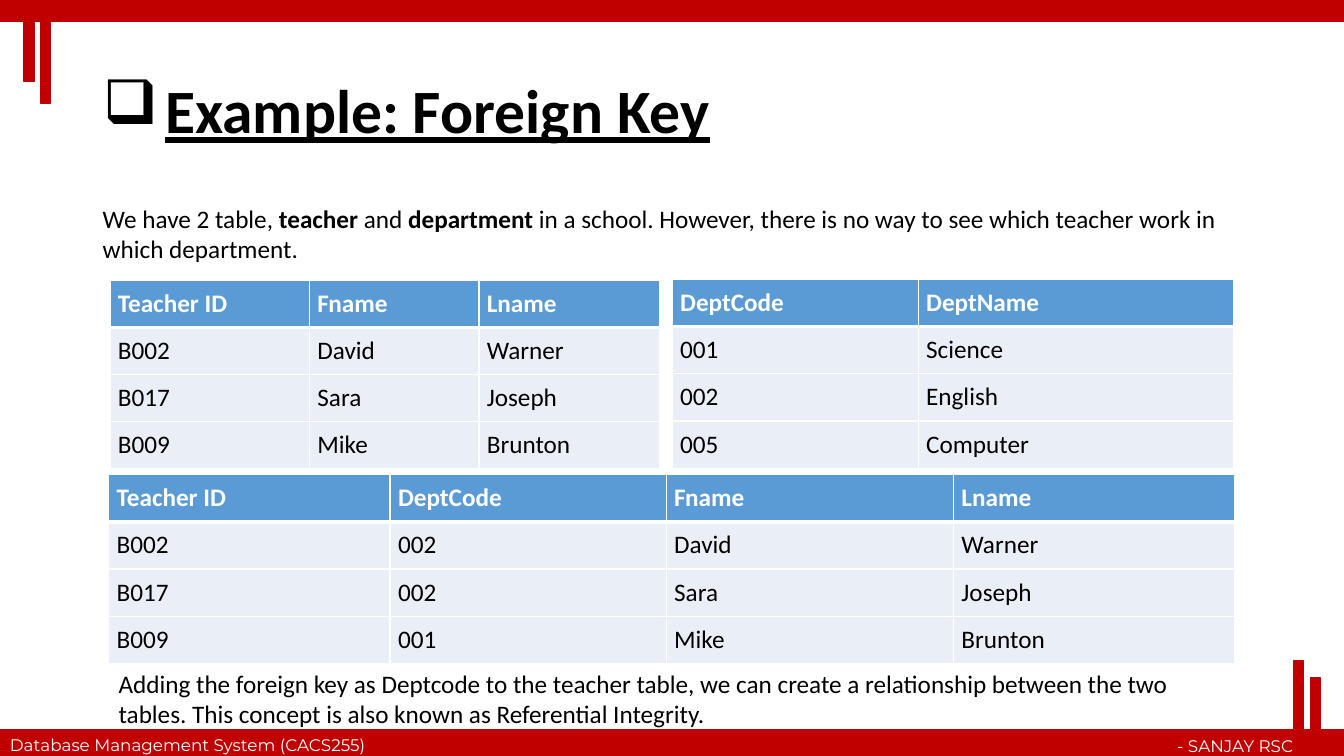
from lxml import etree
from pptx import Presentation
from pptx.dml.color import RGBColor
from pptx.enum import shapes, text
from pptx.oxml import ns
from pptx.util import Cm, Pt

RED = RGBColor(0xC0, 0x00, 0x00)
BLUE = RGBColor(0x5B, 0x9B, 0xD5)
PALE = RGBColor(0xEA, 0xEF, 0xF7)
WHITE = RGBColor(0xFF, 0xFF, 0xFF)
BLACK = RGBColor(0x00, 0x00, 0x00)

WIDTH, HEIGHT = 33.87, 19.05
ROW_HEIGHT = 1.19
CELL_MARGIN = 0.2

TITLE = "Example: Foreign Key"
TITLE_BOX = (2.34, 1.02, 29.21, 3.68)
TITLE_INDENT = 1.57

# Boxes are left, top, width, height in centimetres
BARS = [
    (0, 18.39, WIDTH, 0.66),
    (0, 0, WIDTH, 0.53),
    (1.02, 0.03, 0.25, 2.57),
    (0.61, 0.08, 0.25, 1.98),
    (32.61, 16.64, 0.23, 2.39),
    (33.02, 17.07, 0.25, 1.98),
]

FOOTERS = [
    ((0, 18.39, 10.57, 0.76), "Database Management System (CACS255)", text.PP_ALIGN.LEFT),
    ((24.64, 18.42, 8.2, 0.76), "- SANJAY RSC", text.PP_ALIGN.RIGHT),
]

# Each run is its wording and whether it is bold
PARAGRAPHS = [
    ((2.34, 5.0, 28.75, 1.85), [
        ("We have 2 table, ", False),
        ("teacher ", True),
        ("and ", False),
        ("department", True),
        (" in a school. However, there is no way to see which teacher work in "
         "which department.", False),
    ]),
    ((2.74, 16.71, 28.4, 1.8), [
        ("Adding the foreign key as Deptcode to the teacher table, we can create a "
         "relationship between the two tables. This concept is also known as "
         "Referential Integrity.", False),
    ]),
]

# Left, top, column widths, rows with the header first
TABLES = [
    (16.94, 7.04, (6.2, 7.95), [
        ("DeptCode", "DeptName"),
        ("001", "Science"),
        ("002", "English"),
        ("005", "Computer"),
    ]),
    (2.77, 7.06, (5.03, 4.27, 4.55), [
        ("Teacher ID", "Fname", "Lname"),
        ("B002", "David", "Warner"),
        ("B017", "Sara", "Joseph"),
        ("B009", "Mike", "Brunton"),
    ]),
    (2.74, 11.96, (7.09, 6.96, 7.24, 7.09), [
        ("Teacher ID", "DeptCode", "Fname", "Lname"),
        ("B002", "002", "David", "Warner"),
        ("B017", "002", "Sara", "Joseph"),
        ("B009", "001", "Mike", "Brunton"),
    ]),
]


def cm(box):
    return [Cm(length) for length in box]


def add_run(p, wording, size, color, bold=False, font="Calibri"):
    r = p.add_run()
    r.text = wording
    r.font.name, r.font.size, r.font.bold = font, Pt(size), bold
    r.font.color.rgb = color
    return r


def add_bar(s, box):
    sp = s.shapes.add_shape(shapes.MSO_SHAPE.RECTANGLE, *cm(box))
    sp.shadow.inherit = False
    sp.fill.solid()
    sp.fill.fore_color.rgb = RED
    sp.line.color.rgb = RED
    sp.line.width = Pt(1)


def add_textbox(s, box):
    """Add a wrapping text box and return its first paragraph."""
    tf = s.shapes.add_textbox(*cm(box)).text_frame
    tf.word_wrap = True
    return tf.paragraphs[0]


def set_borders(cell, bottom):
    """Draw white cell borders, with the bottom one in its own width."""
    tc_pr = cell._tc.get_or_add_tcPr()
    for i, (side, width) in enumerate(dict(lnL=1, lnR=1, lnT=1, lnB=bottom).items()):
        ln = etree.Element(ns.qn(f"a:{side}"), w=str(Pt(width)))
        fill = etree.SubElement(ln, ns.qn("a:solidFill"))
        etree.SubElement(fill, ns.qn("a:srgbClr"), val=str(WHITE))
        tc_pr.insert(i, ln)


def fill_cell(cell, wording, header):
    cell.margin_left = cell.margin_right = Cm(CELL_MARGIN)
    cell.margin_top = cell.margin_bottom = Cm(CELL_MARGIN)
    cell.fill.solid()
    cell.fill.fore_color.rgb = BLUE if header else PALE
    set_borders(cell, 3 if header else 1)
    add_run(cell.text_frame.paragraphs[0], wording, 18, WHITE if header else BLACK, header)


def add_table(s, left, top, widths, rows):
    box = (left, top, sum(widths), ROW_HEIGHT * len(rows))
    table = s.shapes.add_table(len(rows), len(widths), *cm(box)).table
    for column, width in zip(table.columns, widths):
        column.width = Cm(width)
    for i, row in enumerate(rows):
        table.rows[i].height = Cm(ROW_HEIGHT)
        for j, wording in enumerate(row):
            fill_cell(table.cell(i, j), wording, i == 0)


def set_title(s):
    sp = s.shapes.title
    sp.left, sp.top, sp.width, sp.height = cm(TITLE_BOX)
    tf = sp.text_frame
    tf.word_wrap = True
    tf.vertical_anchor = text.MSO_ANCHOR.MIDDLE
    p = tf.paragraphs[0]
    p.alignment = text.PP_ALIGN.LEFT
    p.line_spacing = 0.9
    p_pr = p._p.get_or_add_pPr()
    p_pr.set("marL", str(Cm(TITLE_INDENT)))
    p_pr.set("indent", str(-Cm(TITLE_INDENT)))
    etree.SubElement(p_pr, ns.qn("a:buChar"), char="❑")
    add_run(p, TITLE, 44, BLACK, True).font.underline = True


def main():
    prs = Presentation()
    prs.slide_width, prs.slide_height = Cm(WIDTH), Cm(HEIGHT)
    s = prs.slides.add_slide(prs.slide_layouts.get_by_name("Title Only"))
    for box in BARS:
        add_bar(s, box)
    for box, wording, alignment in FOOTERS:
        p = add_textbox(s, box)
        p.alignment = alignment
        add_run(p, wording, 12, WHITE, font="Montserrat")
    set_title(s)
    for table in TABLES:
        add_table(s, *table)
    for box, runs in PARAGRAPHS:
        p = add_textbox(s, box)
        for wording, bold in runs:
            add_run(p, wording, 18, BLACK, bold)
    prs.save("out.pptx")


if __name__ == "__main__":
    main()
